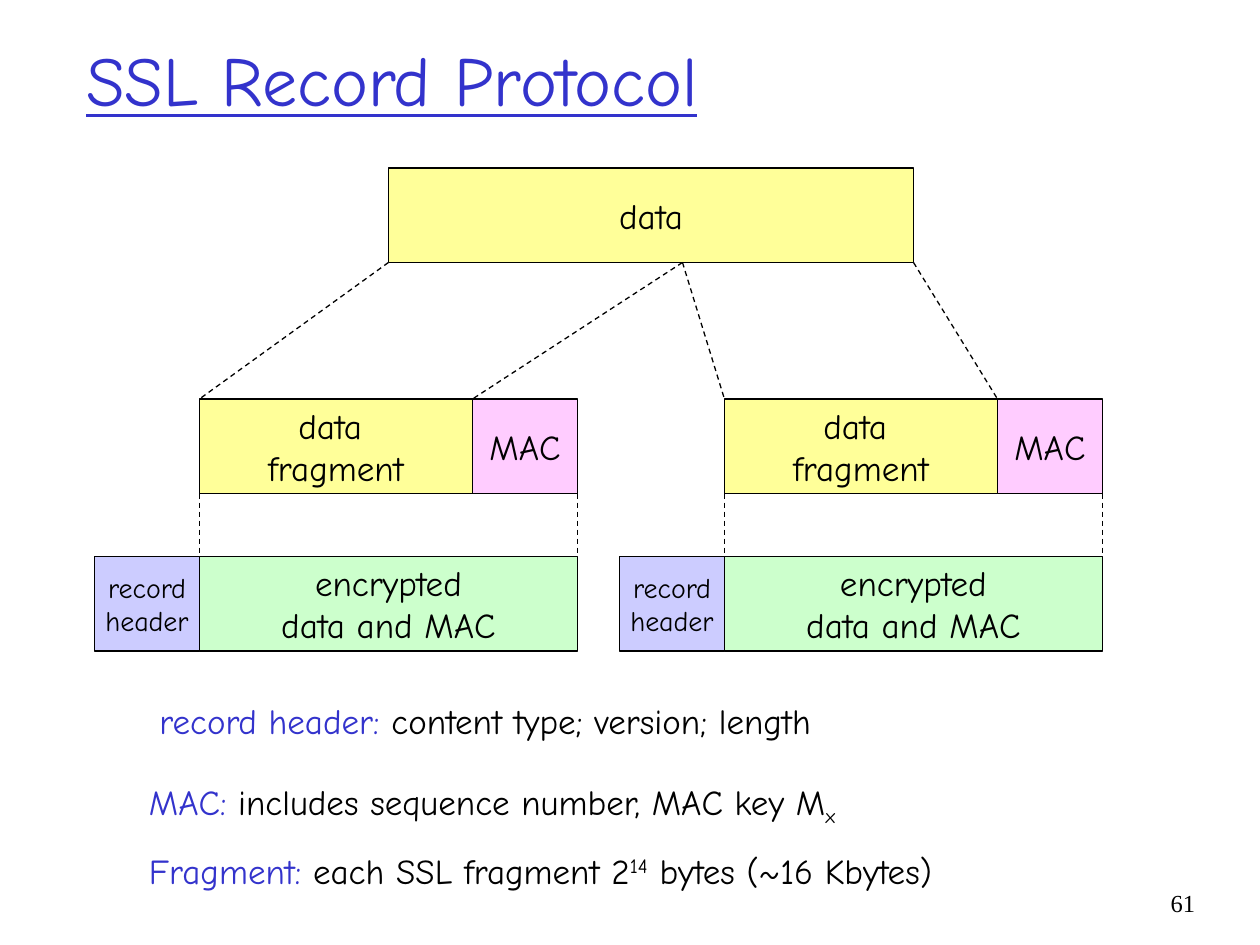
from pptx import Presentation
from pptx import util as u
from pptx.dml import color as dc
from pptx.enum import dml, shapes, text
from lxml import etree

A = "{http://schemas.openxmlformats.org/drawingml/2006/main}"
FACE, INK, BLUE = "Comic Neue", "000000", "3333CC"


def rgb(code):
    return dc.RGBColor.from_string(code)


def grid(*nums):
    return [u.Cm(n * 2.54 / 12) for n in nums]


deck = Presentation()
deck.slide_width, deck.slide_height = grid(120, 90)
slide = deck.slides.add_slide(deck.slide_layouts[5])

title = slide.shapes.title
title.left, title.top, title.width, title.height = grid(7, 0, 102, 15)
title.text_frame.vertical_anchor = text.MSO_ANCHOR.MIDDLE
par = title.text_frame.paragraphs[0]
par.text = "SSL Record Protocol"
par.alignment = text.PP_ALIGN.LEFT
for key, val in {"name": FACE, "size": u.Pt(40), "underline": True}.items():
    setattr(par.font, key, val)
par.font.color.rgb = rgb(BLUE)

boxes = [(37, 16, 50, "FFFF99", 20, "data")]
lines = [(37, 25, 19, 38), (65, 25, 45, 38), (65, 25, 69, 38), (87, 25, 95, 38)]
for dx in (0, 50):
    boxes += [
        (19 + dx, 38, 26, "FFFF99", 20, "data \nfragment"),
        (45 + dx, 38, 10, "FFCCFF", 20, "MAC"),
        (19 + dx, 53, 36, "CCFFCC", 20, "encrypted\ndata and MAC"),
        (9 + dx, 53, 10, "CCCCFF", 16, "record\nheader"),
    ]
    lines += [(x + dx, 47, x + dx, 53) for x in (19, 55)]

for left, top, width, fill, size, words in boxes:
    box = slide.shapes.add_shape(shapes.MSO_SHAPE.RECTANGLE, *grid(left, top, width, 9))
    box.shadow.inherit = False
    box.fill.solid()
    box.fill.fore_color.rgb = rgb(fill)
    box.line.color.rgb = rgb(INK)
    box.line.width = u.Pt(0.75)
    frame = box.text_frame
    frame.text = words
    frame.word_wrap = False
    frame.vertical_anchor = text.MSO_ANCHOR.MIDDLE
    for par in frame.paragraphs:
        par.alignment = text.PP_ALIGN.CENTER
        for key, val in {"name": FACE, "size": u.Pt(size)}.items():
            setattr(par.font, key, val)
        par.font.color.rgb = rgb(INK)

for ends in lines:
    link = slide.shapes.add_connector(shapes.MSO_CONNECTOR.STRAIGHT, *grid(*ends))
    link.line.color.rgb = rgb(INK)
    link.line.width = u.Pt(0.75)
    link.line.dash_style = dml.MSO_LINE.DASH
    etree.SubElement(link.element.spPr, A + "effectLst")

LEFT, RIGHT = text.PP_ALIGN.LEFT, text.PP_ALIGN.RIGHT
notes = [
    (14, 66, 66, LEFT, FACE, 20, [
        ("record header:", BLUE, 0), (" content type; version; length", INK, 0)]),
    (13, 73.7, 69, LEFT, FACE, 20, [
        ("MAC:", BLUE, 0), (" includes sequence number, MAC key M", INK, 0),
        ("x", INK, -25)]),
    (13, 80.3, 78, LEFT, FACE, 20, [
        ("Fragment:", BLUE, 0), (" each SSL fragment 2", INK, 0),
        ("14", INK, 30), (" bytes (~16 Kbytes)", INK, 0)]),
    (109, 84, 6, RIGHT, "Times New Roman", 14, [("61", INK, 0)]),
]
for left, top, width, side, face, size, runs in notes:
    note = slide.shapes.add_textbox(*grid(left, top, width, 5.3))
    note.text_frame.word_wrap = True
    par = note.text_frame.paragraphs[0]
    par.alignment = side
    for words, ink, base in runs:
        run = par.add_run()
        run.text = words
        for key, val in {"name": face, "size": u.Pt(size)}.items():
            setattr(run.font, key, val)
        run.font.color.rgb = rgb(ink)
        if base:
            run.font._element.set("baseline", str(base * 1000))

deck.save("out.pptx")
